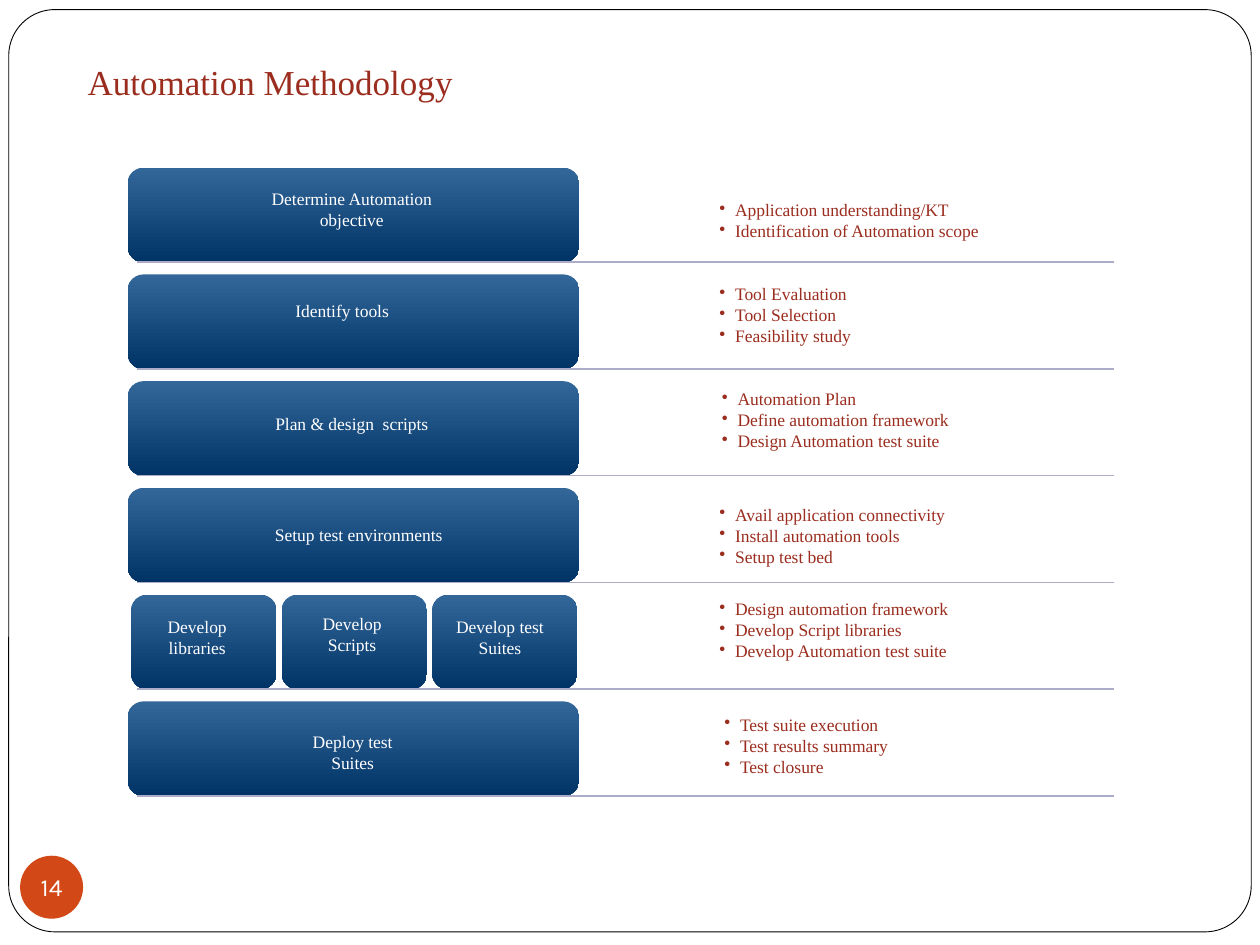
import dataclasses

import lxml.etree
import pptx
import pptx.dml.color
import pptx.enum.shapes
import pptx.enum.text
import pptx.oxml.ns
import pptx.util

Pt = pptx.util.Pt
MSO_SHAPE = pptx.enum.shapes.MSO_SHAPE
ALIGN = pptx.enum.text.PP_ALIGN
ANCHOR = pptx.enum.text.MSO_ANCHOR
qn = pptx.oxml.ns.qn


def rgb(value):
    return pptx.dml.color.RGBColor.from_string(value)


@dataclasses.dataclass(frozen=True)
class Theme:
    serif: str = "Times New Roman"
    sans: str = "Karla"
    title_size: float = 20
    body_size: float = 10
    number_size: float = 14
    white: str = "FFFFFF"
    black: str = "000000"
    red: str = "9B2D1F"
    orange: str = "D34817"
    blue_top: str = "336699"
    blue_bottom: str = "003366"
    rule: str = "ACACC8"


def write_text(tf, lines, *, font, size, color, align=ALIGN.LEFT,
               anchor=ANCHOR.TOP, bullet=False, wrap=True, inset=None):
    tf.word_wrap = wrap
    tf.vertical_anchor = anchor
    if inset is not None:
        tf.margin_left = tf.margin_right = Pt(inset)
        tf.margin_top = tf.margin_bottom = Pt(inset)
    for i, line in enumerate(lines):
        p = tf.paragraphs[0] if i == 0 else tf.add_paragraph()
        p.alignment = align
        if bullet:
            pPr = p._p.get_or_add_pPr()
            pPr.set("marL", str(Pt(9)))
            pPr.set("indent", str(-Pt(9)))
            lxml.etree.SubElement(pPr, qn("a:buChar")).set("char", "•")
        r = p.add_run()
        r.text = line
        r.font.name = font
        r.font.size = Pt(size)
        r.font.color.rgb = rgb(color)


class SlideBuilder:
    def __init__(self, slide, theme):
        self.s = slide
        self.theme = theme

    def shape(self, kind, x, y, w, h, fill=None, line=None):
        sp = self.s.shapes.add_shape(kind, Pt(x), Pt(y), Pt(w), Pt(h))
        sp.shadow.inherit = False
        if fill:
            sp.fill.solid()
            sp.fill.fore_color.rgb = rgb(fill)
        if line:
            sp.line.color.rgb = rgb(line)
            sp.line.width = Pt(0.5)
        else:
            sp.line.fill.background()
        return sp

    def block(self, x, y, w, h):
        sp = self.shape(MSO_SHAPE.ROUNDED_RECTANGLE, x, y, w, h)
        sp.fill.gradient()
        sp.fill.gradient_angle = 270
        colors = (self.theme.blue_top, self.theme.blue_bottom)
        for stop, color in zip(sp.fill.gradient_stops, colors):
            stop.color.rgb = rgb(color)

    def text(self, lines, x, y, w, h, **fmt):
        style = dict(font=self.theme.serif, size=self.theme.body_size,
                     color=self.theme.red)
        style.update(fmt)
        sp = self.s.shapes.add_textbox(Pt(x), Pt(y), Pt(w), Pt(h))
        write_text(sp.text_frame, lines, **style)

    def label(self, lines, center, y, w):
        self.text(lines, center - w / 2, y, w, 7.2 + 12 * len(lines),
                  color=self.theme.white, align=ALIGN.CENTER)

    def bullets(self, lines, x, y):
        self.text(lines, x, y, 222, 36, anchor=ANCHOR.MIDDLE, bullet=True)

    def rule(self, x1, x2, y):
        c = self.s.shapes.add_connector(
            pptx.enum.shapes.MSO_CONNECTOR.STRAIGHT, Pt(x1), Pt(y), Pt(x2), Pt(y))
        c.line.color.rgb = rgb(self.theme.rule)
        c.line.width = Pt(0.75)
        lxml.etree.SubElement(c._element.spPr, qn("a:effectLst"))

    def page_number(self, number):
        sp = self.shape(MSO_SHAPE.OVAL, 11.5, 489, 36, 36, fill=self.theme.orange)
        write_text(sp.text_frame, [number], font=self.theme.sans,
                   size=self.theme.number_size, color=self.theme.white,
                   align=ALIGN.CENTER, anchor=ANCHOR.MIDDLE, wrap=False, inset=0)


BLOCK_LEFT, BLOCK_TOP, BLOCK_W, BLOCK_H = 73, 95.8, 258, 54
ROW_PITCH = 61
PART_LEFT, PART_W, PART_PITCH = 75, 83, 86

# Each step: labels as (lines, centre, top), then bullets as (lines, left, top).
STEPS = [
    ([(["Determine Automation", "objective"], 201, 103.7)],
     (["Application understanding/KT", "Identification of Automation scope"], 404, 108)),
    ([(["Identify tools"], 195.5, 167.8)],
     (["Tool Evaluation", "Tool Selection", "Feasibility study"], 404, 162)),
    ([(["Plan & design  scripts"], 201, 232.5)],
     (["Automation Plan", "Define automation framework",
       "Design Automation test suite"], 405.4, 222)),
    ([(["Setup test environments"], 205, 296)],
     (["Avail application connectivity", "Install automation tools",
       "Setup test bed"], 404, 288)),
    ([(["Develop", "libraries"], 112.7, 348.5),
      (["Develop", "Scripts"], 201.2, 346.5),
      (["Develop test", "Suites"], 285.7, 348.5)],
     (["Design automation framework", "Develop Script libraries",
       "Develop Automation test suite"], 404, 342)),
    ([(["Deploy test", "Suites"], 201.5, 414)],
     (["Test suite execution", "Test results summary", "Test closure"], 406.8, 408)),
]


def main():
    prs = pptx.Presentation()
    prs.slide_width, prs.slide_height = Pt(720), Pt(540)
    theme = Theme()
    b = SlideBuilder(prs.slides.add_slide(prs.slide_layouts[6]), theme)

    frame = b.shape(MSO_SHAPE.ROUNDED_RECTANGLE, 5, 5.5, 710, 527,
                    fill=theme.white, line=theme.black)
    frame.adjustments[0] = 0.05
    b.page_number("14")
    b.text(["Automation Methodology"], 43, 17.5, 617, 58,
           size=theme.title_size, anchor=ANCHOR.MIDDLE)

    for row, (labels, (points, x, y)) in enumerate(STEPS):
        top = BLOCK_TOP + row * ROW_PITCH
        single = len(labels) == 1
        for col, (lines, center, label_top) in enumerate(labels):
            if single:
                b.block(BLOCK_LEFT, top, BLOCK_W, BLOCK_H)
            else:
                b.block(PART_LEFT + col * PART_PITCH, top, PART_W, BLOCK_H)
            b.label(lines, center, label_top, 214 if single else 88)
        b.rule(78.5, 636.5, top + BLOCK_H)
        b.bullets(points, x, y)

    prs.save("out.pptx")


if __name__ == "__main__":
    main()
